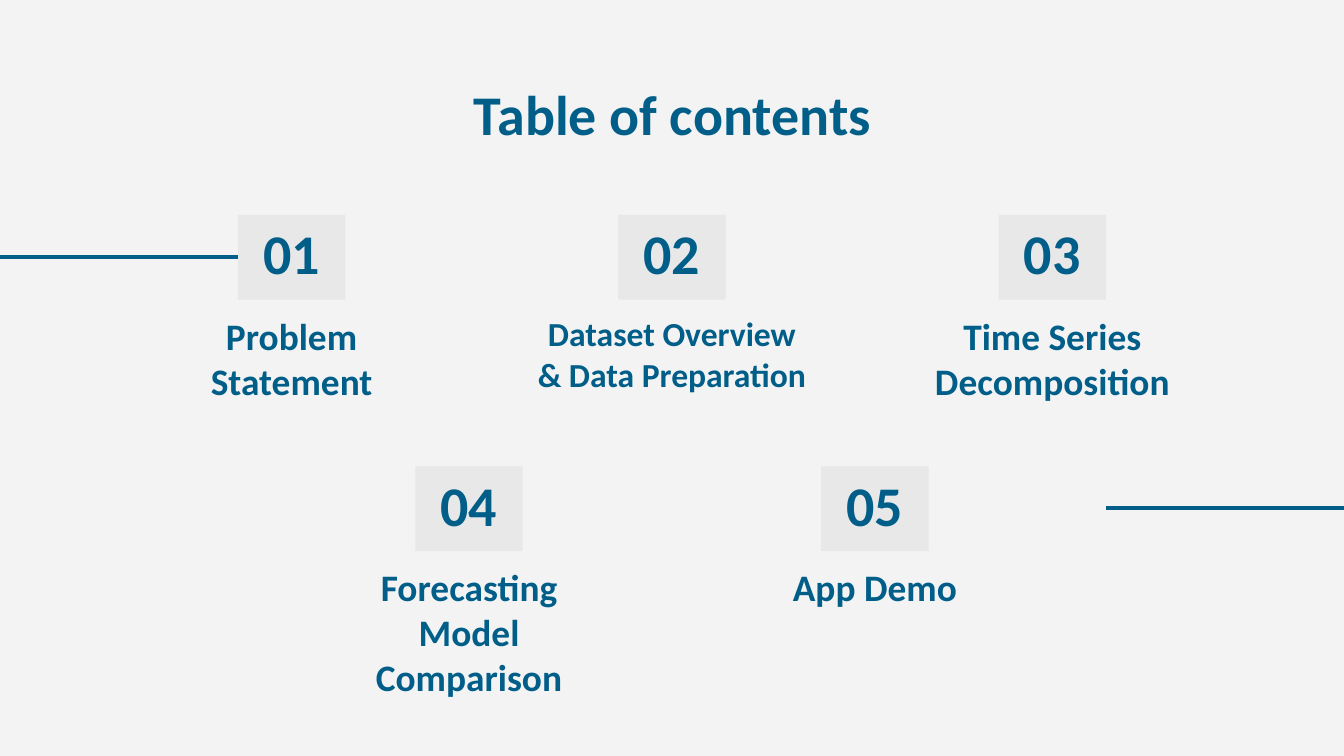
"""Build a table of contents slide with five numbered sections."""
import pptx
import pptx.util
import pptx.dml.color
import pptx.enum.shapes
import pptx.enum.text
import lxml.etree
from pptx.util import Inches

TITLE = "Table of contents"
ROWS = [
    {"top": 1.6, "left": 1.77, "step": 2.83, "items": [
        ("01", "Problem Statement", 20),
        ("02", "Dataset Overview & Data Preparation", 18),
        ("03", "Time Series Decomposition", 20)]},
    {"top": 3.47, "left": 3.09, "step": 3.02, "items": [
        ("04", "Forecasting Model Comparison", 20),
        ("05", "App Demo", 20)]},
]
RULES = [(-0.05, 1.77, 1.91), (8.23, 10.03, 3.78)]

BLUE = pptx.dml.color.RGBColor(0x00, 0x5E, 0x88)
GREY = pptx.dml.color.RGBColor(0xE8, 0xE8, 0xE8)
PAPER = pptx.dml.color.RGBColor(0xF3, 0xF3, 0xF3)
FONT = "Calibri"
SLIDE_W = 10
SLIDE_H = SLIDE_W * 9 / 16
BOX_W, BOX_H = 0.8, 0.63
LABEL_W, LABEL_H = 2.21, 0.81
ANCHOR = pptx.enum.text.MSO_ANCHOR
DRAWING_NS = "http://schemas.openxmlformats.org/drawingml/2006/main"


def add_text(s, text, x, y, w, h, size=20, fill=None, anchor=ANCHOR.TOP):
    """Add centred bold text, on a filled rectangle when fill is given."""
    at = [Inches(v) for v in (x, y, w, h)]
    if fill is None:
        sp = s.shapes.add_textbox(*at)
    else:
        sp = s.shapes.add_shape(pptx.enum.shapes.MSO_SHAPE.RECTANGLE, *at)
        sp.shadow.inherit = False
        sp.fill.solid()
        sp.fill.fore_color.rgb = fill
        sp.line.fill.background()
    tf = sp.text_frame
    tf.word_wrap = True
    tf.vertical_anchor = anchor
    tf.margin_left = tf.margin_right = tf.margin_top = tf.margin_bottom = Inches(0.1)
    p = tf.paragraphs[0]
    p.alignment = pptx.enum.text.PP_ALIGN.CENTER
    r = p.add_run()
    r.text = text
    r.font.name = FONT
    r.font.size = pptx.util.Pt(size)
    r.font.bold = True
    r.font.color.rgb = BLUE


def add_rule(s, x1, x2, y):
    """Add a horizontal rule."""
    line = s.shapes.add_connector(
        pptx.enum.shapes.MSO_CONNECTOR.STRAIGHT,
        Inches(x1), Inches(y), Inches(x2), Inches(y))
    line.line.color.rgb = BLUE
    line.line.width = pptx.util.Pt(2.25)
    lxml.etree.SubElement(line._element.spPr, f"{{{DRAWING_NS}}}effectLst")


def main():
    """Lay out the slide and save it."""
    prs = pptx.Presentation()
    prs.slide_width, prs.slide_height = Inches(SLIDE_W), Inches(SLIDE_H)
    s = prs.slides.add_slide(prs.slide_layouts[6])
    s.background.fill.solid()
    s.background.fill.fore_color.rgb = PAPER

    add_text(s, TITLE, 0.79, 0.49, 8.43, 0.63, size=30)
    for row in ROWS:
        for i, (number, label, size) in enumerate(row["items"]):
            x = row["left"] + i * row["step"]
            add_text(s, number, x, row["top"], BOX_W, BOX_H,
                     size=30, fill=GREY, anchor=ANCHOR.BOTTOM)
            add_text(s, label, x - (LABEL_W - BOX_W) / 2, row["top"] + BOX_H,
                     LABEL_W, LABEL_H, size=size)
    for rule in RULES:
        add_rule(s, *rule)
    prs.save("out.pptx")


if __name__ == "__main__":
    main()
